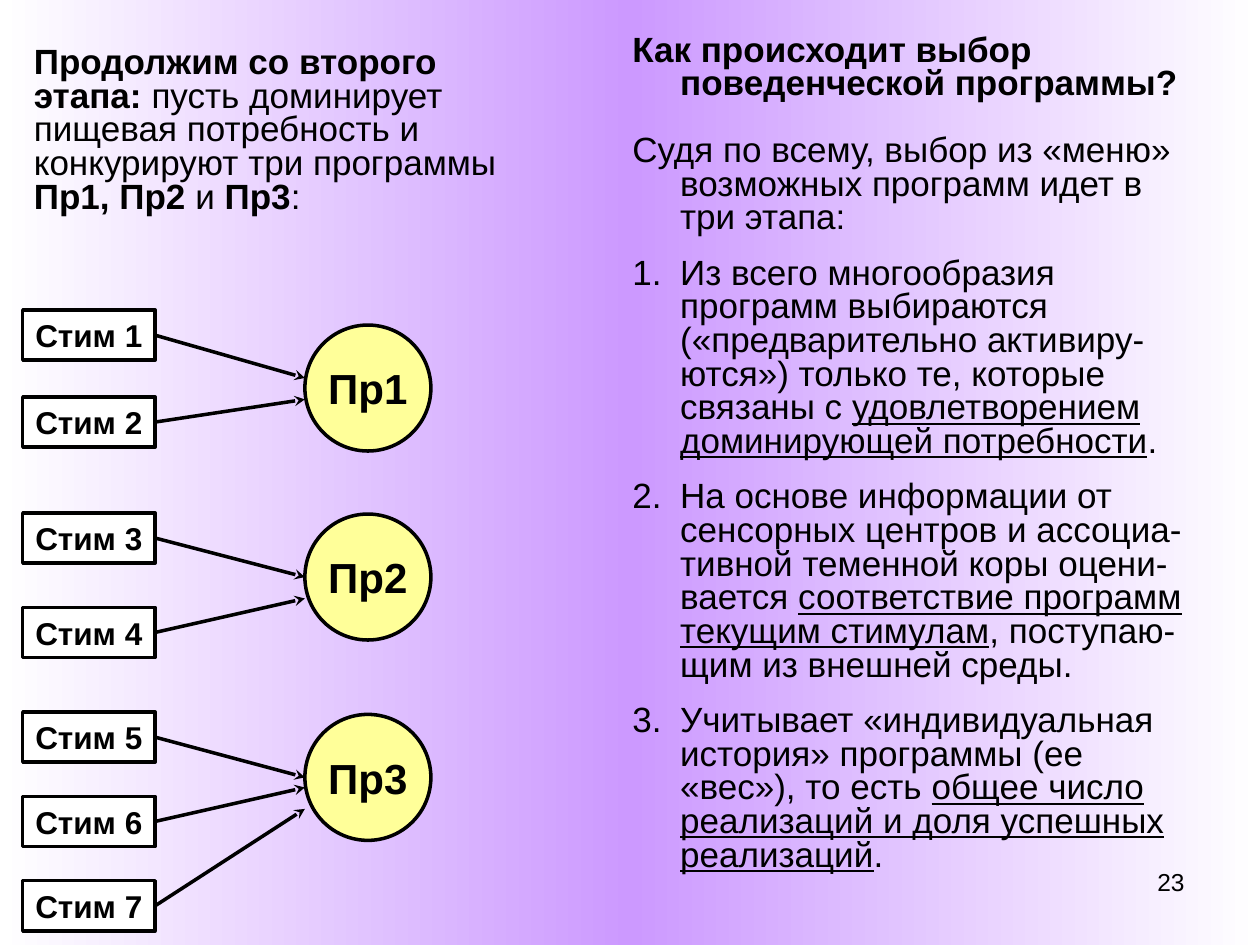
import copy

import pptx
import pptx.dml.color
import pptx.enum.shapes
import pptx.enum.text
import pptx.oxml.ns
import pptx.util
from lxml import etree

INK = {"text": "000000", "box": "FFFFFF", "disc": "FFFF99",
       "edge": "FFFFFF", "mid": "CC99FF"}
FONT = "Arial"
BOX_X, BOX_W, BOX_H = 0.18, 1.05, 0.4
DISC_X, DISC_D = 2.42, 1

# Program: disc top, then for each stimulus its box top and arrow end
GROUPS = [
    ("Пр1", 2.58, [(2.46, 3.0), (3.15, 3.17)]),
    ("Пр2", 4.08, [(4.07, 4.58), (4.82, 4.75)]),
    ("Пр3", 5.67, [(5.65, 6.17), (6.32, 6.25), (6.99, 6.42)]),
]

# Runs are (text, style), where style holds "b" for bold, "u" for underline
INTRO = [
    ("Продолжим со второго этапа: ", "b"),
    ("пусть доминирует пищевая потребность и конкурируют три программы", ""),
    (" Пр1, Пр2 ", "b"), ("и", ""), (" Пр3", "b"), (":", ""),
]
HEAD = [("Как происходит выбор поведенческой программы?", "b")]
LEAD = [("Судя по всему, выбор из «меню» возможных программ идет в три этапа:", "")]
STAGES = [
    [("Из всего многообразия программ выбираются («предварительно "
      "активиру-ются») только те, которые связаны с ", ""),
     ("удовлетворением доминирующей потребности", "u"), (".", "")],
    [("На основе информации от сенсорных центров и ассоциа-тивной "
      "теменной коры оцени-вается ", ""),
     ("соответствие программ текущим стимулам", "u"),
     (", поступаю-щим из внешней среды.", "")],
    [("Учитывает «индивидуальная история» программы (ее «вес»), то есть ", ""),
     ("общее число реализаций и доля успешных реализаций", "u"), (".", "")],
]


def inch(*nums):
    return [pptx.util.Inches(n) for n in nums]


def color(name):
    return pptx.dml.color.RGBColor.from_string(INK[name])


def add_runs(par, runs, size):
    for text, style in runs:
        run = par.add_run()
        run.text = text
        font = run.font
        font.name, font.size = FONT, pptx.util.Pt(size)
        font.bold, font.underline = "b" in style, "u" in style
        font.color.rgb = color("text")


def add_box(slide, *place):
    frame = slide.shapes.add_textbox(*inch(*place)).text_frame
    frame.word_wrap = True
    return frame


def hang(par, number=False):
    """Give a hanging indent, with automatic numbering if asked."""
    props = par._p.get_or_add_pPr()
    step = inch(0.38)[0]
    props.set("marL", str(step))
    props.set("indent", str(-step))
    kind = "a:buAutoNum" if number else "a:buNone"
    bullet = etree.SubElement(props, pptx.oxml.ns.qn(kind))
    if number:
        bullet.set("type", "arabicPeriod")


def add_node(slide, kind, fill, label, size, *place):
    node = slide.shapes.add_shape(kind, *inch(*place))
    node.shadow.inherit = False
    node.fill.solid()
    node.fill.fore_color.rgb = color(fill)
    node.line.color.rgb = color("text")
    node.line.width = pptx.util.Pt(2)
    frame = node.text_frame
    frame.word_wrap = False
    frame.vertical_anchor = pptx.enum.text.MSO_ANCHOR.MIDDLE
    par = frame.paragraphs[0]
    par.alignment = pptx.enum.text.PP_ALIGN.CENTER
    add_runs(par, [(label, "b")], size)
    return node


def add_arrow(slide, box, end):
    arrow = slide.shapes.add_connector(
        pptx.enum.shapes.MSO_CONNECTOR.STRAIGHT,
        box.left + box.width, box.top + box.height // 2, *inch(DISC_X, end))
    arrow.begin_connect(box, 3)
    arrow.line.color.rgb = color("text")
    arrow.line.width = pptx.util.Pt(2)
    qn = pptx.oxml.ns.qn
    etree.SubElement(arrow.line._get_or_add_ln(), qn("a:tailEnd"), type="stealth")
    etree.SubElement(arrow._element.spPr, qn("a:effectLst"))


def paint_back(slide):
    fill = slide.background.fill
    fill.gradient()
    fill.gradient_angle = 0
    stops = slide.element.find(".//" + pptx.oxml.ns.qn("a:gsLst"))
    stops.insert(1, copy.deepcopy(stops[0]))
    for stop, name, share in zip(fill.gradient_stops, ("edge", "mid", "edge"),
                                 (0, 0.5, 1)):
        stop.color.rgb = color(name)
        stop.position = share


def add_intro(slide):
    par = add_box(slide, 0.17, 0.33, 4.25, 1.44).paragraphs[0]
    par.line_spacing = 0.8
    add_runs(par, INTRO, 20)


def add_scheme(slide):
    shapes = pptx.enum.shapes.MSO_SHAPE
    count = 0
    for name, top, stims in GROUPS:
        add_node(slide, shapes.OVAL, "disc", name, 24,
                 DISC_X, top, DISC_D, DISC_D)
        for y, end in stims:
            count += 1
            box = add_node(slide, shapes.RECTANGLE, "box", f"Стим {count}", 18,
                           BOX_X, y, BOX_W, BOX_H)
            add_arrow(slide, box, end)


def add_stages(slide):
    frame = add_box(slide, 4.92, 0.23, 4.67, 6.76)
    rows = [(HEAD, 0, False), (LEAD, 19, False)]
    rows += [(runs, 12.5, True) for runs in STAGES]
    for i, (runs, gap, number) in enumerate(rows):
        par = frame.add_paragraph() if i else frame.paragraphs[0]
        hang(par, number)
        par.line_spacing = 0.8
        par.space_before = pptx.util.Pt(gap)
        add_runs(par, runs, 20)


def add_page(slide):
    par = add_box(slide, 7.17, 6.83, 2.33, 0.52).paragraphs[0]
    par.alignment = pptx.enum.text.PP_ALIGN.RIGHT
    add_runs(par, [("23", "")], 14)


def main():
    deck = pptx.Presentation()
    deck.slide_width, deck.slide_height = inch(10, 7.5)
    slide = deck.slides.add_slide(deck.slide_layouts[6])
    paint_back(slide)
    add_page(slide)
    add_intro(slide)
    add_scheme(slide)
    add_stages(slide)
    deck.save("out.pptx")


if __name__ == "__main__":
    main()
